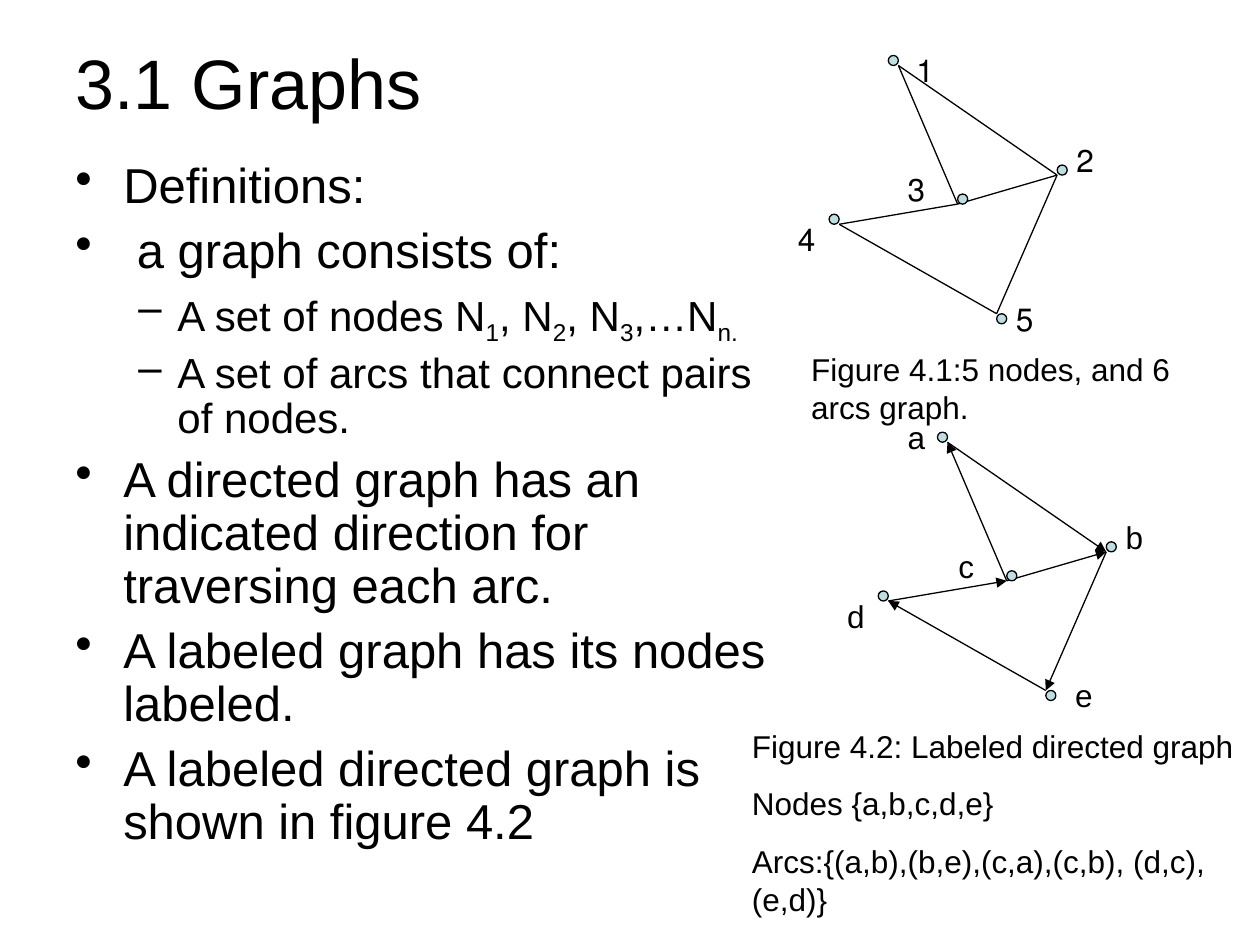
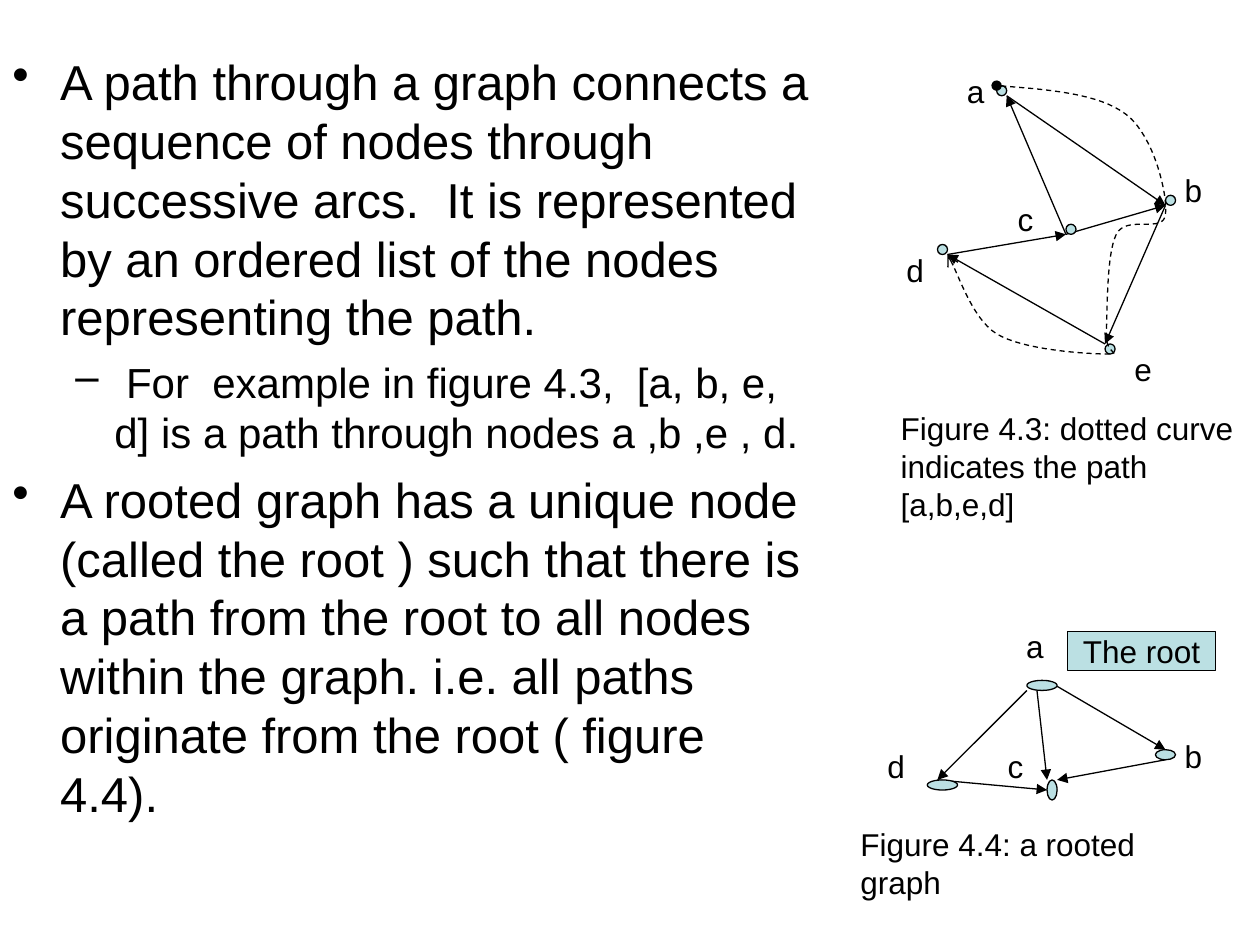
from dataclasses import dataclass, field

from lxml.etree import SubElement as Sub
from pptx import Presentation
from pptx.dml.color import RGBColor
from pptx.enum.dml import MSO_LINE_DASH_STYLE as Dash
from pptx.enum.shapes import MSO_CONNECTOR as Conn, MSO_SHAPE as Kind
from pptx.enum.text import MSO_ANCHOR as Anchor, MSO_AUTO_SIZE as Auto, PP_ALIGN as Align
from pptx.oxml.ns import qn
from pptx.util import Inches, Pt

BLACK = RGBColor(0x00, 0x00, 0x00)
TEAL = RGBColor(0xBB, 0xE0, 0xE3)
FONT = "Arial"
THIN = Pt(0.75)
DOT = 0.08

Point = tuple[float, float]
Box = tuple[float, float, float, float]

# Frame and paragraph formats
FIXED = {"word_wrap": True, "auto_size": Auto.NONE}
GROW = {"word_wrap": True, "auto_size": Auto.SHAPE_TO_FIT_TEXT}
MIDDLE = {"word_wrap": True, "vertical_anchor": Anchor.MIDDLE}
TIGHT = {"word_wrap": False, "vertical_anchor": Anchor.MIDDLE}
NOTE = {"space_before": Pt(11.2)}
TAG = NOTE | {"alignment": Align.RIGHT}


@dataclass(frozen=True)
class Level:
    mark: str
    size: int
    gap: int
    left: float
    hang: float


LEVELS = (Level("•", 28, 7, 0.38, 0.38), Level("–", 24, 6, 0.81, 0.31))


@dataclass(frozen=True)
class Node:
    at: Point
    port: Point  # where arcs touch, from the node's corner
    tag: Point  # label corner, from the node's corner


NODES = {
    "a": Node((7.05, 0.44), (DOT, DOT), (-0.31, -0.16)),
    "b": Node((8.39, 1.31), (0, DOT), (0.08, -0.24)),
    "c": Node((7.6, 1.54), (0, DOT), (-0.47, -0.24)),
    "d": Node((6.58, 1.7), (DOT, DOT), (-0.32, 0)),
    "e": Node((7.91, 2.49), (0, 0), (0.16, -0.16)),
}
ARCS = ("ab", "be", "ed", "dc", "ca", "cb")


@dataclass(frozen=True)
class Graph:
    shift: Point
    names: str = "abcde"
    arrows: bool = True
    tags: dict[str, Point] = field(default_factory=dict)


PLAIN = Graph((0, 0), "12345", False, {"a": (0.15, -0.08), "e": (0.08, -0.16)})
ARROWED = Graph((0.39, 2.99))
TRACED = Graph((0.86, 0.24), tags={"e": (0.16, 0)})

# Rooted graph
ROOTED = ((8.15, 5.4, 0.24, DOT), (8.31, 6.19, DOT, 0.16),
          (9.17, 5.95, 0.16, DOT), (7.36, 6.19, 0.24, DOT))
LINKS = (((8.31, 5.4), (9.25, 5.95)), ((8.23, 5.48), (8.31, 6.19)),
         ((8.15, 5.48), (7.44, 6.19)), ((9.25, 6.03), (8.39, 6.19)),
         ((7.44, 6.19), (8.31, 6.27)))
NAMES = {"a": (8.07, 4.93), "b": (9.33, 5.8), "c": (7.91, 5.88), "d": (6.97, 5.88)}

# Start of the dotted route, then two control points and an end per curve
START = (7.91, 0.68)
CURVES = (
    ((8.31, 0.71), (8.72, 0.74), (8.94, 0.91)),
    ((9.16, 1.08), (9.27, 1.55), (9.25, 1.7)),
    ((9.24, 1.86), (8.94, 1.7), (8.86, 1.86)),
    ((8.78, 2.02), (8.79, 2.49), (8.78, 2.65)),
    ((8.77, 2.81), (8.92, 2.81), (8.78, 2.81)),
    ((8.64, 2.81), (8.12, 2.78), (7.91, 2.65)),
    ((7.7, 2.52), (7.59, 2.12), (7.52, 2.02)),
)

# Outline level and text; pieces between bars alternate with subscripts
TERMS = (
    (0, "Definitions:"),
    (0, " a graph consists of:"),
    (1, "A set of nodes N|1|, N|2|, N|3|,…N|n."),
    (1, "A set of arcs that connect pairs of nodes."),
    (0, "A directed graph has an indicated direction for traversing each arc."),
    (0, "A labeled graph has its nodes labeled."),
    (0, "A labeled directed graph is shown in figure 4.2"),
)
ROUTES = (
    (0, "A path through a graph connects a sequence of nodes through successive arcs.  "
        "It is represented by an ordered list of the nodes representing the path."),
    (1, " For  example in figure 4.3,  [a, b, e, d] is a path through nodes a ,b ,e , d."),
    (0, "A rooted graph has a unique node (called the root ) such that there is a path "
        "from the root to all nodes within the graph. i.e. all paths originate from "
        "the root ( figure 4.4)."),
)


def add(one: Point, two: Point) -> Point:
    return one[0] + two[0], one[1] + two[1]


def inches(nums) -> list[Inches]:
    return [Inches(num) for num in nums]


def apply(item, form: dict) -> None:
    for name, value in form.items():
        setattr(item, name, value)


def write(para, text: str, size: int) -> None:
    for spot, piece in enumerate(text.split("|")):
        run = para.add_run()
        run.text = piece
        apply(run.font, {"name": FONT, "size": Pt(size)})
        run.font.color.rgb = BLACK
        if spot % 2:
            run.font._element.set("baseline", "-25000")


def fill(frame, lines, size: int, look: dict, form: dict) -> None:
    apply(frame, look)
    for spot, line in enumerate(lines):
        para = frame.add_paragraph() if spot else frame.paragraphs[0]
        apply(para, form)
        write(para, line, size)


def draw_text(slide, box: Box, lines, size: int = 18, look: dict = GROW,
              form: dict = NOTE):
    frame = slide.shapes.add_textbox(*inches(box)).text_frame
    fill(frame, lines, size, look, form)
    return frame


def draw_list(slide, box: Box, items, pitch: float | None = None) -> None:
    frame = slide.shapes.add_textbox(*inches(box)).text_frame
    apply(frame, FIXED)
    for spot, (depth, text) in enumerate(items):
        level = LEVELS[depth]
        para = frame.add_paragraph() if spot else frame.paragraphs[0]
        apply(para, {"level": depth, "line_spacing": pitch, "space_before": Pt(level.gap)})
        props = para._p.get_or_add_pPr()
        props.set("marL", str(Inches(level.left)))
        props.set("indent", str(-Inches(level.hang)))
        Sub(Sub(props, qn("a:buClr")), qn("a:srgbClr"), val=str(BLACK))
        Sub(props, qn("a:buChar"), char=level.mark)
        write(para, text, level.size)


def draw_tag(slide, at: Point, text: str) -> None:
    frame = draw_text(slide, (*at, 0.31, 0.4), [text], form=TAG)
    frame.paragraphs[0]._p.get_or_add_pPr().set("rtl", "1")


def ink(shape) -> None:
    shape.line.color.rgb = BLACK
    shape.line.width = THIN


def add_end(shape, end: str, kind: str) -> None:
    Sub(shape._element.spPr.find(qn("a:ln")), qn(f"a:{end}End"), type=kind)


def draw_arc(slide, start: Point, stop: Point, arrow: bool = True) -> None:
    arc = slide.shapes.add_connector(Conn.STRAIGHT, *inches((*start, *stop)))
    ink(arc)
    if arrow:
        add_end(arc, "tail", "triangle")
    Sub(arc._element.spPr, qn("a:effectLst"))


def draw_shape(slide, box: Box, kind=Kind.OVAL):
    shape = slide.shapes.add_shape(kind, *inches(box))
    shape.shadow.inherit = False
    shape.fill.solid()
    shape.fill.fore_color.rgb = TEAL
    ink(shape)
    return shape


def draw_graph(slide, graph: Graph) -> None:
    spots = {key: add(node.at, graph.shift) for key, node in NODES.items()}
    ports = {key: add(spots[key], node.port) for key, node in NODES.items()}
    for start, stop in ARCS:
        draw_arc(slide, ports[start], ports[stop], graph.arrows)
    for (key, node), name in zip(NODES.items(), graph.names):
        draw_tag(slide, add(spots[key], graph.tags.get(key, node.tag)), name)
    for spot in spots.values():
        draw_shape(slide, (*spot, DOT, DOT))


def trace(start: Point, curves, steps: int = 16) -> list[Point]:
    """Return points along a chain of cubic curves."""
    points = []
    for one, two, stop in curves:
        for step in range(1, steps + 1):
            t = step / steps
            u = 1 - t
            points.append(tuple(
                u**3 * p + 3 * u * u * t * q + 3 * u * t * t * r + t**3 * s
                for p, q, r, s in zip(start, one, two, stop)))
        start = stop
    return points


def draw_route(slide) -> None:
    pen = slide.shapes.build_freeform(*inches(START))
    pen.add_line_segments([inches(point) for point in trace(START, CURVES)], close=False)
    route = pen.convert_to_shape()
    route.shadow.inherit = False
    route.fill.background()
    ink(route)
    route.line.dash_style = Dash.DASH
    add_end(route, "head", "oval")
    add_end(route, "tail", "arrow")


def draw_rooted(slide) -> None:
    for start, stop in LINKS:
        draw_arc(slide, start, stop)
    for box in ROOTED:
        draw_shape(slide, box)
    for name, at in NAMES.items():
        draw_tag(slide, at, name)
    root = draw_shape(slide, (8.47, 5.01, 1.18, 0.31), Kind.RECTANGLE)
    fill(root.text_frame, ["The root"], 18, TIGHT, {"alignment": Align.CENTER})


def build_terms(slide) -> None:
    draw_text(slide, (0.5, 0.3, 9, 0.69), ["3.1 Graphs"], 40, MIDDLE, {})
    draw_list(slide, (0.5, 1.23, 5.68, 5.98), TERMS, 0.9)
    draw_graph(slide, ARROWED)
    draw_graph(slide, PLAIN)
    draw_text(slide, (5.87, 5.72, 4.13, 1.62), [
        "Figure 4.2: Labeled directed graph",
        "Nodes {a,b,c,d,e}",
        "Arcs:{(a,b),(b,e),(c,a),(c,b), (d,c),(e,d)}",
    ])
    draw_text(slide, (6.34, 2.73, 3.23, 0.7), ["Figure 4.1:5 nodes, and 6 arcs graph."])


def build_routes(slide) -> None:
    draw_list(slide, (0, 0.36, 6.54, 7.14), ROUTES)
    draw_graph(slide, TRACED)
    draw_text(slide, (7.05, 3.2, 2.91, 1),
              ["Figure 4.3: dotted curve indicates the path [a,b,e,d]"])
    draw_route(slide)
    draw_rooted(slide)
    draw_text(slide, (6.73, 6.5, 2.91, 0.7), ["Figure 4.4: a rooted graph"])


def main() -> None:
    deck = Presentation()
    apply(deck, {"slide_width": Inches(10), "slide_height": Inches(7.5)})
    for build in (build_terms, build_routes):
        build(deck.slides.add_slide(deck.slide_layouts[6]))
    deck.save("out.pptx")


if __name__ == "__main__":
    main()
